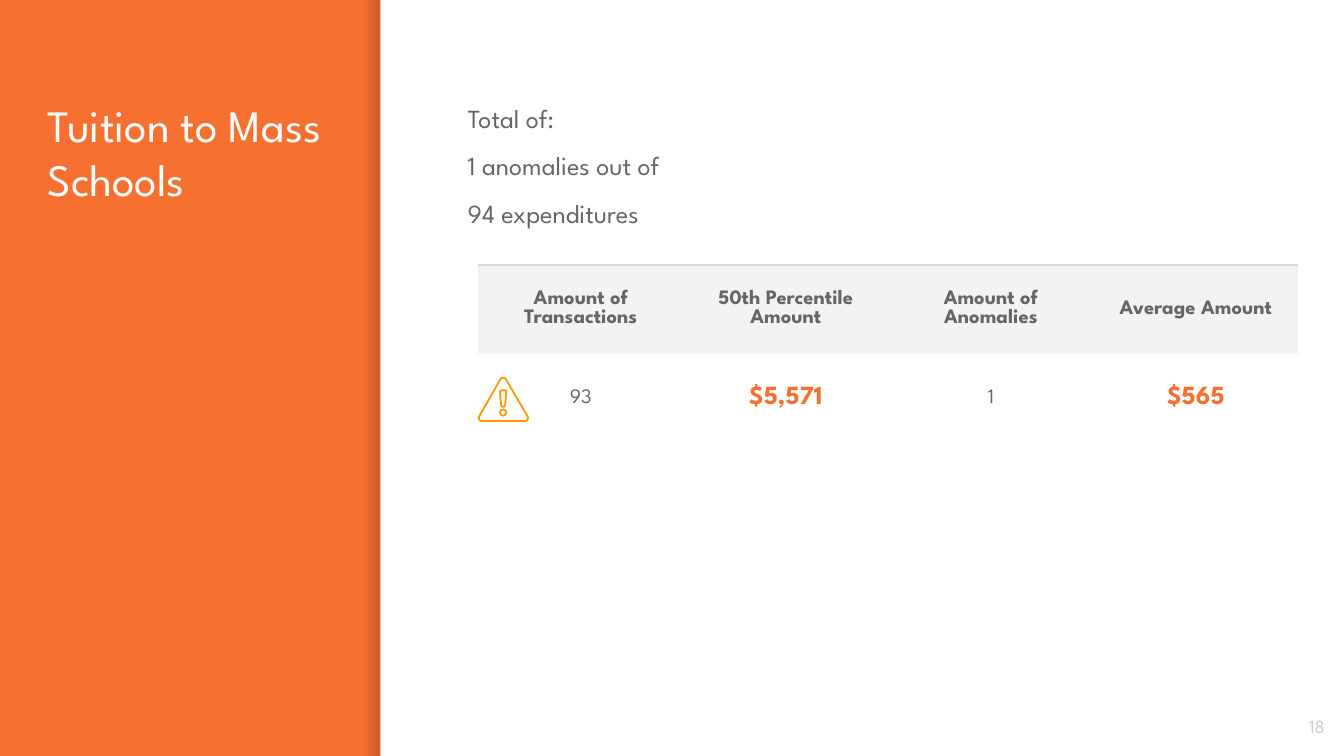
from math import cos, radians, sin

from lxml.etree import SubElement
from pptx import Presentation
from pptx.dml.color import RGBColor
from pptx.enum.shapes import MSO_SHAPE
from pptx.enum.text import MSO_ANCHOR, MSO_AUTO_SIZE, PP_ALIGN
from pptx.oxml import parse_xml
from pptx.oxml.ns import nsdecls, qn
from pptx.util import Cm, Pt

COLORS = {"orange": "F67031", "white": "FFFFFF", "text": "666666", "header": "F3F3F3",
          "rule": "D9D9D9", "number": "CCCCCC", "warning": "FF9900", "shade": "000014"}
FONT = "League Spartan"
W, H = 25.4, 14.29


def rgb(name):
    return RGBColor.from_string(COLORS[name])


class SlideBuilder:
    """Holds the style and the current slide."""

    def __init__(self, s):
        self.s = s

    def background(self, color):
        fill = self.s.background.fill
        fill.solid()
        fill.fore_color.rgb = rgb(color)

    def rect(self, x, y, w, h, color):
        sp = self.s.shapes.add_shape(MSO_SHAPE.RECTANGLE, Cm(x), Cm(y), Cm(w), Cm(h))
        sp.shadow.inherit = False
        sp.fill.solid()
        sp.fill.fore_color.rgb = rgb(color)
        sp.line.fill.background()
        return sp

    def shade(self, x, y, w, h, color, opacity):
        """Rectangle that fades in from left to right."""
        sp = self.rect(x, y, w, h, color)
        sp.fill.gradient()
        sp.fill.gradient_angle = 0
        for stop in sp.fill.gradient_stops:
            stop.color.rgb = rgb(color)
        for clr, alpha in zip(sp._element.spPr.iter(qn("a:srgbClr")), (0, opacity)):
            SubElement(clr, qn("a:alpha")).set("val", str(alpha * 1000))

    def fill_text(self, tf, lines, size, color, bold=False, **para):
        """Fill a text frame, one paragraph a line."""
        for i, line in enumerate(lines):
            p = tf.paragraphs[0] if i == 0 else tf.add_paragraph()
            for name, value in para.items():
                if i or name != "space_before":
                    setattr(p, name, value)
            r = p.add_run()
            r.text = line
            for name, value in {"name": FONT, "size": Pt(size), "bold": bold}.items():
                setattr(r.font, name, value)
            r.font.color.rgb = rgb(color)

    def frame(self, sp, anchor):
        tf = sp.text_frame
        style = {"word_wrap": True, "auto_size": MSO_AUTO_SIZE.NONE, "vertical_anchor": anchor}
        style.update({f"margin_{side}": Cm(0.25) for side in ("left", "right", "top", "bottom")})
        for name, value in style.items():
            setattr(tf, name, value)
        return tf

    def title(self, x, y, w, h, text):
        sp = self.s.shapes.title
        sp.left, sp.top, sp.width, sp.height = Cm(x), Cm(y), Cm(w), Cm(h)
        self.fill_text(self.frame(sp, MSO_ANCHOR.TOP), [text], 24, "white",
                       alignment=PP_ALIGN.LEFT)

    def text(self, x, y, w, h, lines, size, color, anchor=MSO_ANCHOR.TOP, **para):
        sp = self.s.shapes.add_textbox(Cm(x), Cm(y), Cm(w), Cm(h))
        self.fill_text(self.frame(sp, anchor), lines, size, color, **para)

    def borders(self, cell, top=None):
        """Clear the cell borders, with an optional top rule."""
        tcPr = cell._tc.get_or_add_tcPr()
        for i, side in enumerate(("lnL", "lnR", "lnT", "lnB")):
            fill = "<a:noFill/>"
            if top and side == "lnT":
                fill = f'<a:solidFill><a:srgbClr val="{COLORS[top]}"/></a:solidFill>'
            tcPr.insert(i, parse_xml(f'<a:{side} {nsdecls("a")} w="9525">{fill}</a:{side}>'))

    def table(self, x, y, w, h, rows, highlighted):
        """Header row above value rows; highlighted columns stand out."""
        frame = self.s.shapes.add_table(len(rows), len(rows[0]), Cm(x), Cm(y), Cm(w), Cm(h))
        tbl = frame.table
        tbl.first_row = tbl.horz_banding = False
        for i, row in enumerate(rows):
            for j, value in enumerate(row):
                cell = tbl.cell(i, j)
                cell.vertical_anchor = MSO_ANCHOR.MIDDLE
                cell.margin_top = cell.margin_bottom = Cm(0.18)
                if i == 0:
                    cell.fill.solid()
                    cell.fill.fore_color.rgb = rgb("header")
                    style = (11, "text", True)
                else:
                    cell.fill.background()
                    style = (14, "orange", True) if j in highlighted else (11, "text", False)
                self.borders(cell, "rule" if i == 0 else None)
                self.fill_text(cell.text_frame, [value], *style, alignment=PP_ALIGN.CENTER)

    def outline(self, contours, color, width):
        """Freeform whose contours are arcs (x, y, radius, from, to) joined by lines."""
        builder = None
        for arcs in contours:
            points = []
            for x, y, radius, start, end in arcs:
                for k in range(9):
                    a = radians(start + (end - start) * k / 8)
                    points.append((Cm(x + radius * cos(a)), Cm(y + radius * sin(a))))
            if builder is None:
                builder = self.s.shapes.build_freeform(*points[0])
            else:
                builder.move_to(*points[0])
            builder.add_line_segments(points[1:], close=True)
        sp = builder.convert_to_shape()
        sp.shadow.inherit = False
        sp.fill.background()
        sp.line.color.rgb = rgb(color)
        sp.line.width = Pt(width)


def main():
    prs = Presentation()
    prs.slide_width, prs.slide_height = Cm(W), Cm(H)
    b = SlideBuilder(prs.slides.add_slide(prs.slide_layouts[5]))

    # Side panel and white content area
    b.background("orange")
    b.shade(6.87, 0, 0.32, H, "shade", 20)
    b.rect(7.19, 0, W - 7.19, H, "white")
    b.title(0.65, 1.6, 5.7, 11.05, "Tuition to Mass Schools")

    # Summary
    b.text(8.59, 1.6, 15.54, 2.95, ["Total of:", "1 anomalies out of", "94 expenditures"],
           14, "text", line_spacing=1.15, space_before=Pt(6))

    # Key figures
    b.table(9.04, 5.01, 15.5, 3.36, [
        ["Amount of Transactions", "50th Percentile Amount", "Amount of Anomalies", "Average Amount"],
        ["93", "$5,571", "1", "$565"],
    ], highlighted=(1, 3))

    # Warning sign: triangle, dot and bar
    b.outline([
        [(9.51, 7.2, 0.06, 210, 330), (9.92, 7.9, 0.06, -30, 90), (9.11, 7.9, 0.06, 90, 210)],
        [(9.51, 7.8, 0.06, 0, 360)],
        [(9.48, 7.41, 0.03, 180, 270), (9.54, 7.41, 0.03, 270, 360), (9.51, 7.65, 0.04, 0, 180)],
    ], "warning", 0.96)

    # Slide number
    b.text(23.77, 13.18, 1.52, 1.09, ["18"], 10, "number", MSO_ANCHOR.MIDDLE,
           alignment=PP_ALIGN.RIGHT)

    prs.save("out.pptx")


if __name__ == "__main__":
    main()
